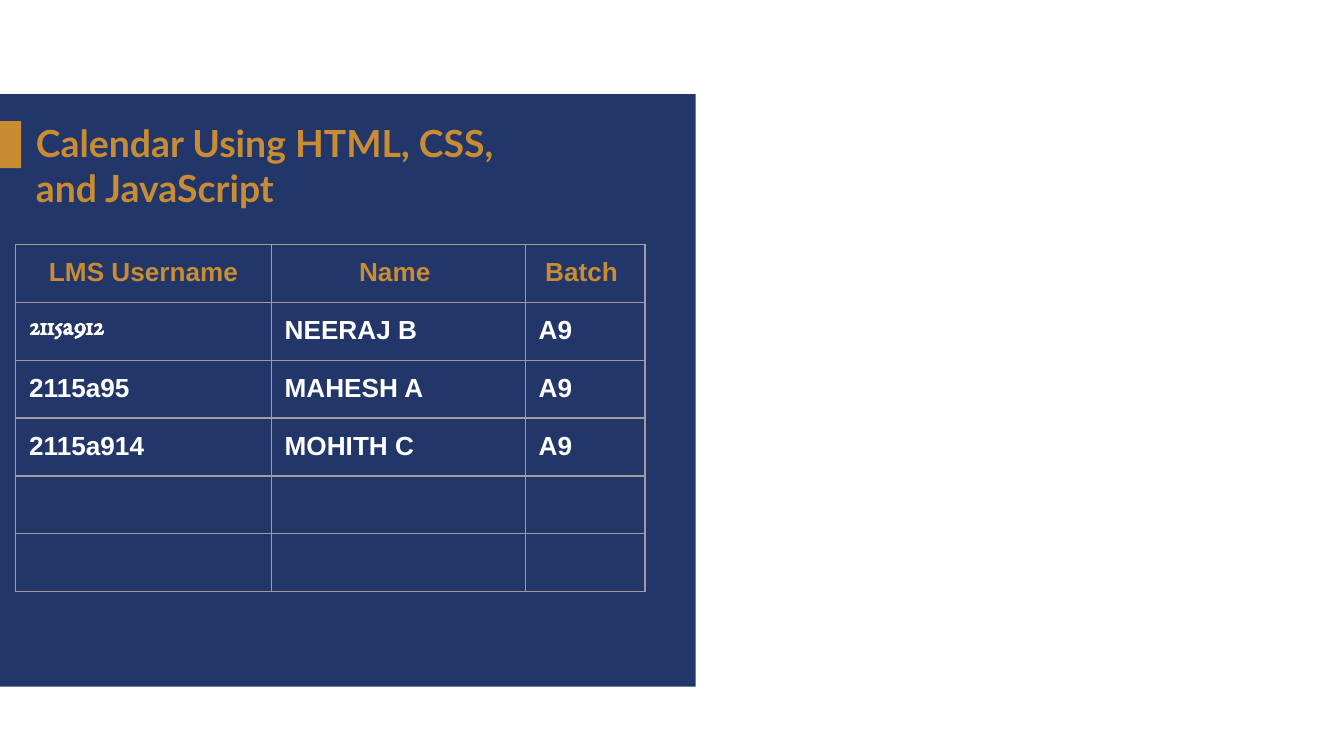
from lxml.etree import SubElement
from pptx import Presentation
from pptx.dml.color import RGBColor
from pptx.enum.shapes import MSO_SHAPE
from pptx.enum.text import MSO_ANCHOR, PP_ALIGN
from pptx.oxml.ns import qn
from pptx.util import Cm, Pt

NAVY = RGBColor(0x22, 0x36, 0x69)
GOLD = RGBColor(0xC8, 0x8C, 0x32)
WHITE = RGBColor(0xFF, 0xFF, 0xFF)
GREY = RGBColor(0x9E, 0x9E, 0x9E)

HEAD = ["LMS Username", "Name ", "Batch "]
TEAM = [
    ["2115a912", "NEERAJ B", "A9"],
    ["2115a95", "MAHESH A", "A9"],
    ["2115a914", "MOHITH C", "A9"],
    ["", "", ""],
    ["", "", ""],
]
WIDTHS = [4.83, 4.8, 2.26]
ROW = 1.06
PAD = 0.25


def add_run(para, text, face, size, color):
    run = para.add_run()
    run.text = text
    font = run.font
    font.name, font.size, font.bold = face, Pt(size), True
    font.color.rgb = color


def add_block(slide, left, top, width, height, color):
    block = slide.shapes.add_shape(
        MSO_SHAPE.RECTANGLE, Cm(left), Cm(top), Cm(width), Cm(height))
    block.shadow.inherit = False
    block.fill.solid()
    block.fill.fore_color.rgb = color
    block.line.fill.background()


def add_panel(slide, left, top, width, height):
    # Navy field with a gold tab at its left edge
    add_block(slide, left, top, width, height, NAVY)
    add_block(slide, left, top + 0.51, 0.4, 0.89, GOLD)


def add_title(slide, left, top, width, height):
    box = slide.shapes.add_textbox(Cm(left), Cm(top), Cm(width), Cm(height))
    frame = box.text_frame
    frame.word_wrap = True
    frame.vertical_anchor = MSO_ANCHOR.MIDDLE
    add_run(frame.paragraphs[0], "Calendar Using HTML, CSS, and JavaScript",
            "Lato", 20, GOLD)


def add_border(cell):
    props = cell._tc.get_or_add_tcPr()
    for side in ("a:lnL", "a:lnR", "a:lnT", "a:lnB"):
        line = SubElement(props, qn(side), w=str(Pt(0.75)))
        fill = SubElement(line, qn("a:solidFill"))
        SubElement(fill, qn("a:srgbClr"), val=str(GREY))


def fill_cell(cell, text, head, face):
    cell.margin_left = cell.margin_right = Cm(PAD)
    cell.margin_top = cell.margin_bottom = Cm(PAD)
    add_border(cell)
    cell.fill.background()
    para = cell.text_frame.paragraphs[0]
    if head:
        para.alignment = PP_ALIGN.CENTER
    if text:
        add_run(para, text, face, 14, GOLD if head else WHITE)
    else:
        # Keeps an empty row as low as a filled one
        SubElement(para._p, qn("a:endParaRPr"), sz="1400")


def add_team(slide, left, top):
    rows = [HEAD] + TEAM
    table = slide.shapes.add_table(
        len(rows), len(WIDTHS), Cm(left), Cm(top),
        Cm(sum(WIDTHS)), Cm(ROW * len(rows))).table
    table.first_row = table.horz_banding = False
    for col, width in zip(table.columns, WIDTHS):
        col.width = Cm(width)
    for r, row in enumerate(rows):
        table.rows[r].height = Cm(ROW)
        for c, text in enumerate(row):
            face = "EB Garamond" if (r, c) == (1, 0) else "Arial"
            fill_cell(table.cell(r, c), text, r == 0, face)


def main():
    deck = Presentation()
    deck.slide_width, deck.slide_height = Cm(25.4), Cm(14.29)
    slide = deck.slides.add_slide(deck.slide_layouts[6])
    add_panel(slide, 0, 1.78, 13.15, 11.2)
    add_title(slide, 0.43, 2.14, 9.5, 1.96)
    add_team(slide, 0.3, 4.62)
    deck.save("out.pptx")


if __name__ == "__main__":
    main()
